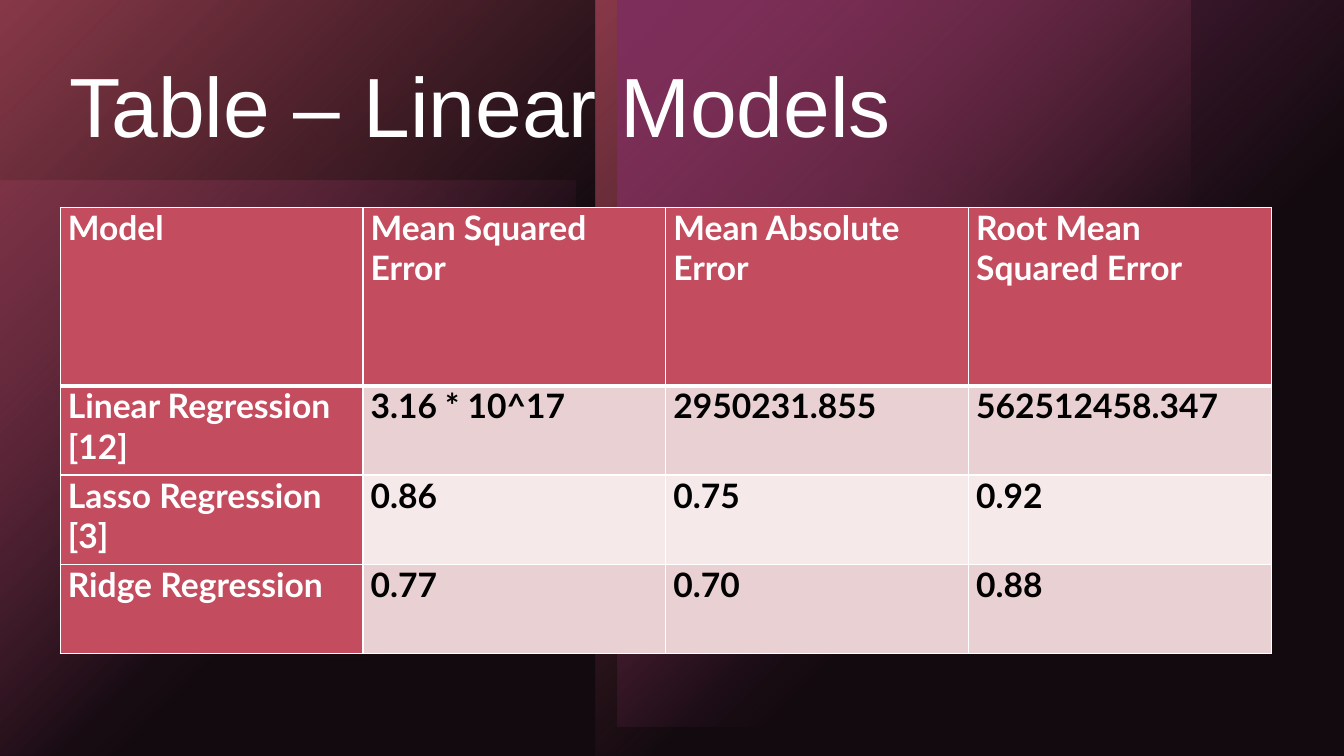
from lxml.etree import SubElement
from pptx import Presentation
from pptx.dml.color import RGBColor
from pptx.enum.shapes import MSO_SHAPE
from pptx.enum.text import MSO_ANCHOR
from pptx.oxml import parse_xml
from pptx.oxml.ns import nsdecls, qn
from pptx.util import Cm, Pt

THEME = {
    "background": "000000", "veil": "301B27", "rose": "C34D5F",
    "magenta": "B13B7F", "violet": "C34DC2",
    "light": "FFFFFF", "dark": "000000", "bands": ["E9D0D2", "F5E9EA"],
    "title_font": "Arial", "table_font": "Lato",
    "title_size": 60, "table_size": 24, "thin": 1, "thick": 3,
}


def color_xml(color, opacity):
    return f'<a:srgbClr val="{color}"><a:alpha val="{opacity * 1000}"/></a:srgbClr>'


def write(frame, text, font, size, color, bold, **formats):
    for name, value in formats.items():
        setattr(frame, name, value)
    para = frame.paragraphs[0]
    span = para.add_run()
    span.text = text
    for name, value in {"name": font, "size": Pt(size), "bold": bold}.items():
        setattr(span.font, name, value)
    span.font.color.rgb = RGBColor.from_string(color)
    return para


deck = Presentation()
deck.slide_width, deck.slide_height = Cm(33.87), Cm(19.05)
page = deck.slides.add_slide(deck.slide_layouts[6])
page.background.fill.solid()
page.background.fill.fore_color.rgb = RGBColor.from_string(THEME["background"])

glows = [
    (MSO_SHAPE.RECTANGLE, (0, 4.56, 14.5, 14.49), "magenta", 60),
    (MSO_SHAPE.OVAL, (15.98, 1.09, 12, 12), "violet", 60),
    (MSO_SHAPE.OVAL, (0, 1.42, 17.63, 17.63), "violet", 20),
    (MSO_SHAPE.RECTANGLE, (0, 0, 15, 19.05), "rose", 100),
    (MSO_SHAPE.RECTANGLE, (15, 0, 15, 19.05), "rose", 100),
    (MSO_SHAPE.RECTANGLE, (15.56, 0, 18.31, 18.31), "magenta", 100),
    (MSO_SHAPE.RECTANGLE, (0, 0, 33.87, 19.05), "veil", 40),
]
for kind, place, color_name, opacity in glows:
    glow = page.shapes.add_shape(kind, *map(Cm, place))
    glow.shadow.inherit = False
    glow.line.fill.background()
    glow.fill.background()
    color = THEME[color_name]
    if kind == MSO_SHAPE.OVAL or color_name == "veil":
        fill = f'<a:solidFill {nsdecls("a")}>{color_xml(color, opacity)}</a:solidFill>'
    else:
        fill = (
            f'<a:gradFill {nsdecls("a")}><a:gsLst>'
            f'<a:gs pos="0">{color_xml(color, opacity)}</a:gs>'
            f'<a:gs pos="60000">{color_xml(color, 0)}</a:gs></a:gsLst>'
            '<a:path path="circle"><a:fillToRect r="100000" b="100000"/></a:path>'
            '</a:gradFill>'
        )
    properties = glow.element.spPr
    properties.replace(properties.find(qn("a:noFill")), parse_xml(fill))
    if kind == MSO_SHAPE.OVAL:
        effects = properties.find(qn("a:effectLst"))
        SubElement(effects, qn("a:softEdge"), rad=str(Pt(100)))

title_box = page.shapes.add_textbox(Cm(1.5), Cm(1.5), Cm(30.84), Cm(5.03))
title = write(
    title_box.text_frame, "Table – Linear Models", THEME["title_font"],
    THEME["title_size"], THEME["light"], False,
    word_wrap=True, vertical_anchor=MSO_ANCHOR.TOP,
)
title.line_spacing = 0.9

rows = [
    ["Model", "Mean Squared Error", "Mean Absolute Error", "Root Mean Squared Error"],
    ["Linear Regression [12]", "3.16 * 10^17", "2950231.855", "562512458.347"],
    ["Lasso Regression [3]", "0.86", "0.75", "0.92"],
    ["Ridge Regression", "0.77", "0.70", "0.88"],
]
table = page.shapes.add_table(
    len(rows), len(rows[0]), Cm(1.52), Cm(5.23), Cm(30.52), Cm(11.24)
).table
for column in table.columns:
    column.width = Cm(7.63)
for row_index, values in enumerate(rows):
    table.rows[row_index].height = Cm(2.25 if row_index else 4.49)
    for column_index, value in enumerate(values):
        cell = table.cell(row_index, column_index)
        heading = row_index == 0 or column_index == 0
        margins = {"margin_left": 0.19, "margin_right": 0.19, "margin_top": 0, "margin_bottom": 0}
        for name, length in margins.items():
            setattr(cell, name, Cm(length))
        write(
            cell.text_frame, value, THEME["table_font"], THEME["table_size"],
            THEME["light" if heading else "dark"], True,
        )
        cell.fill.solid()
        cell.fill.fore_color.rgb = RGBColor.from_string(
            THEME["rose"] if heading else THEME["bands"][(row_index - 1) % 2]
        )
        for position, side in enumerate("LRTB"):
            under_header = (row_index, side) in [(0, "B"), (1, "T")]
            width = Pt(THEME["thick" if under_header else "thin"])
            border = parse_xml(
                f'<a:ln{side} {nsdecls("a")} w="{width}"><a:solidFill>'
                f'{color_xml(THEME["light"], 100)}</a:solidFill></a:ln{side}>'
            )
            cell._tc.tcPr.insert(position, border)

deck.save("out.pptx")
